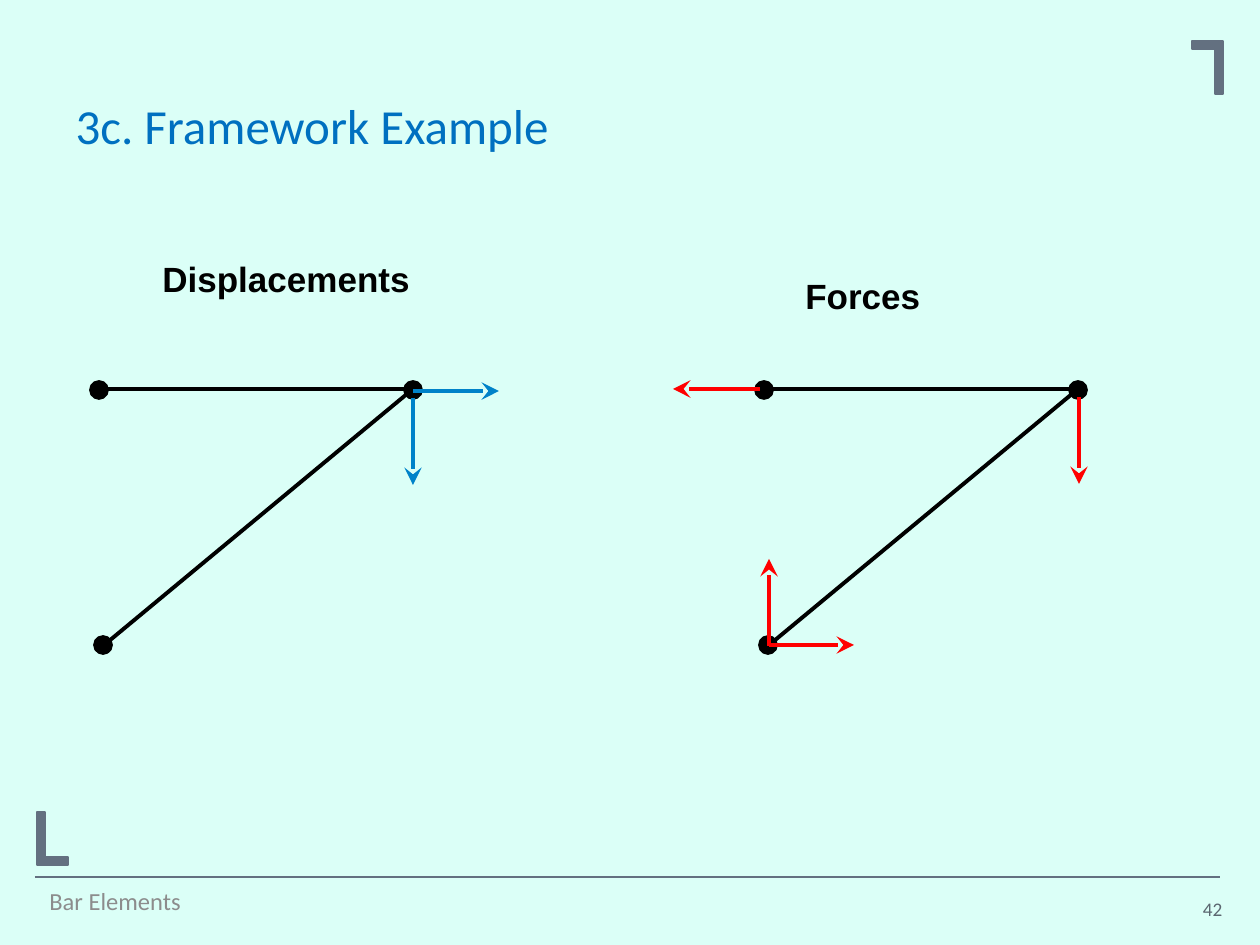
import pptx
import pptx.util
import pptx.dml.color
import pptx.enum.shapes
import pptx.enum.text
import lxml.etree
from pptx.oxml.ns import qn

RGBColor = pptx.dml.color.RGBColor
MINT = RGBColor(0xDB, 0xFF, 0xF7)
SLATE = RGBColor(0x63, 0x70, 0x80)
FOOTER_GRAY = RGBColor(0x8C, 0x8C, 0x8C)
NUMBER_GRAY = RGBColor(0x5B, 0x67, 0x70)
TITLE_BLUE = RGBColor(0x00, 0x70, 0xC0)
ARROW_BLUE = RGBColor(0x00, 0x82, 0xC9)
RED = RGBColor(0xFF, 0x00, 0x00)
BLACK = RGBColor(0x00, 0x00, 0x00)

PX = 914400 / 126
LEFT, RIGHT = pptx.enum.text.PP_ALIGN.LEFT, pptx.enum.text.PP_ALIGN.RIGHT
TOP, MIDDLE = pptx.enum.text.MSO_ANCHOR.TOP, pptx.enum.text.MSO_ANCHOR.MIDDLE

deck = pptx.Presentation()
deck.slide_width, deck.slide_height = round(1260 * PX), round(945 * PX)
slide = deck.slides.add_slide(deck.slide_layouts[5])
slide.background.fill.solid()
slide.background.fill.fore_color.rgb = MINT


def write(box, place, words, size, font, color, align=LEFT, anchor=MIDDLE, bold=False):
    box.left, box.top, box.width, box.height = [round(v * PX) for v in place]
    frame = box.text_frame
    frame.word_wrap = True
    frame.auto_size = pptx.enum.text.MSO_AUTO_SIZE.NONE
    frame.vertical_anchor = anchor
    paragraph = frame.paragraphs[0]
    paragraph.alignment = align
    run = paragraph.add_run()
    run.text = words
    run.font.size = pptx.util.Pt(size)
    run.font.name = font
    run.font.bold = bold
    run.font.color.rgb = color
    return paragraph


def draw_line(ends, color, weight, arrow=False):
    line = slide.shapes.add_connector(
        pptx.enum.shapes.MSO_CONNECTOR.STRAIGHT, *[round(v * PX) for v in ends])
    line.line.color.rgb = color
    line.line.width = pptx.util.Pt(weight)
    if arrow:
        lxml.etree.SubElement(line.line._get_or_add_ln(), qn("a:tailEnd"),
                              type="stealth", w="lg", len="lg")
    lxml.etree.SubElement(line._element.spPr, qn("a:effectLst"))


for corner_x, corner_y, sign in [(1223, 41, -1), (37, 865, 1)]:
    outline = [(corner_x + sign * x, corner_y + sign * y)
               for x, y in [(0, 0), (31, 0), (31, -8), (8, -8), (8, -53), (0, -53)]]
    builder = slide.shapes.build_freeform(*outline[0], scale=PX)
    builder.add_line_segments(outline[1:], close=True)
    bracket = builder.convert_to_shape()
    bracket.shadow.inherit = False
    bracket.fill.solid()
    bracket.fill.fore_color.rgb = SLATE
    bracket.line.color.rgb = SLATE
    bracket.line.width = pptx.util.Pt(1)

draw_line((35, 877, 1220, 877), SLATE, 1.5)
write(slide.shapes.add_textbox(0, 0, 0, 0), (37, 876, 1019, 50),
      "Bar Elements", 14, "Calibri", FOOTER_GRAY)
write(slide.shapes.add_textbox(0, 0, 0, 0), (1186, 884, 49, 50),
      "42", 11, "Calibri", NUMBER_GRAY, align=RIGHT)
title = write(slide.shapes.title, (63, 76, 1134, 106),
              "3c. Framework Example", 28, "Calibri", TITLE_BLUE)
title.line_spacing = 0.9

displacements = [(413, 391, 499, 391), (413, 398, 413, 485)]
forces = [(760, 389, 673, 389), (1079, 397, 1079, 484),
          (769, 645, 854, 645), (769, 646, 769, 559)]

for shift, arrows, arrow_color, heading, heading_x, heading_y in [
        (0, displacements, ARROW_BLUE, "Displacements", 150, 251),
        (665, forces, RED, "Forces", 793, 268)]:
    for x1, y1, x2, y2 in [(100, 389, 417, 389), (103, 646, 413, 389)]:
        draw_line((x1 + shift, y1, x2 + shift, y2), BLACK, 2.25)
    for x, y in [(90, 381), (404, 381), (94, 636)]:
        joint = slide.shapes.add_shape(
            pptx.enum.shapes.MSO_SHAPE.OVAL,
            *[round(v * PX) for v in (x + shift, y, 18, 18)])
        joint.shadow.inherit = False
        joint.fill.solid()
        joint.fill.fore_color.rgb = BLACK
        joint.line.color.rgb = BLACK
        joint.line.width = pptx.util.Pt(1)
    for arrow in arrows:
        draw_line(arrow, arrow_color, 2, arrow=True)
    write(slide.shapes.add_textbox(0, 0, 0, 0), (heading_x, heading_y, 365, 55),
          heading, 20, "Arial", BLACK, anchor=TOP, bold=True)

deck.save("out.pptx")
